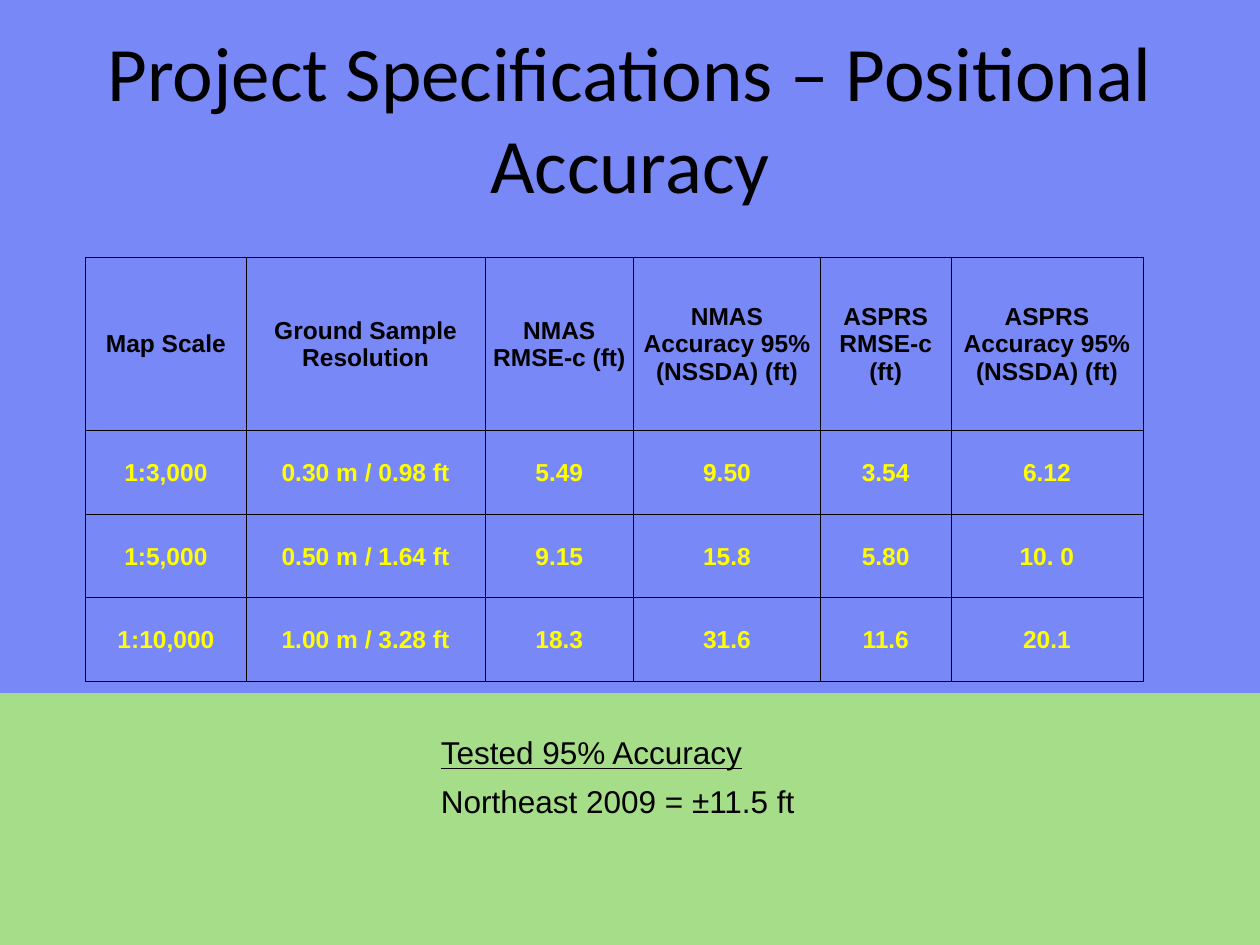
from lxml.etree import SubElement
from pptx import Presentation
from pptx.dml.color import RGBColor
from pptx.enum.shapes import MSO_SHAPE as Preset
from pptx.enum.text import MSO_ANCHOR as Anchor, MSO_AUTO_SIZE as AutoSize, PP_ALIGN as Align
from pptx.oxml import parse_xml
from pptx.oxml.ns import nsdecls, qn
from pptx.util import Cm, Pt

BLACK = RGBColor(0x00, 0x00, 0x00)
YELLOW = RGBColor(0xFF, 0xFF, 0x00)
BLUE = RGBColor(0x79, 0x88, 0xF7)
GREEN = RGBColor(0xA5, 0xDD, 0x89)

COLUMN_WIDTHS = [3.23, 4.82, 2.99, 3.77, 2.63, 3.87]
ROW_HEIGHTS = [3.49, 1.69, 1.69, 1.69]
ACCURACY_ROWS = [
    ["Map Scale", "Ground Sample Resolution", "NMAS RMSE-c (ft)",
     "NMAS Accuracy 95% (NSSDA) (ft)", "ASPRS RMSE-c (ft)",
     "ASPRS Accuracy 95% (NSSDA) (ft)"],
    ["1:3,000", "0.30 m / 0.98 ft", "5.49", "9.50", "3.54", "6.12"],
    ["1:5,000", "0.50 m / 1.64 ft", "9.15", "15.8", "5.80", "10. 0"],
    ["1:10,000", "1.00 m / 3.28 ft", "18.3", "31.6", "11.6", "20.1"],
]


class SlideBuilder:
    body_font = "Arial"
    title_font = "Calibri"

    def __init__(self, page):
        self.page = page

    def span(self, para, text, size, color=BLACK, font=body_font, bold=False, underline=False):
        span = para.add_run()
        span.text = text
        span.font.name = font
        span.font.size = Pt(size)
        span.font.bold = bold
        span.font.underline = underline
        span.font.color.rgb = color

    def band(self, top, height, color):
        band = self.page.shapes.add_shape(Preset.RECTANGLE, 0, Cm(top), Cm(25.4), Cm(height))
        band.shadow.inherit = False
        band.fill.solid()
        band.fill.fore_color.rgb = color
        band.line.fill.background()

    def title(self, text, left, top, width, height):
        title = self.page.shapes.title
        title.element.getparent().append(title.element)
        title.left, title.top = Cm(left), Cm(top)
        title.width, title.height = Cm(width), Cm(height)
        frame = title.text_frame
        frame.vertical_anchor = Anchor.MIDDLE
        frame.auto_size = AutoSize.NONE
        para = frame.paragraphs[0]
        para.alignment = Align.CENTER
        self.span(para, text, 44, font=self.title_font)

    def borders(self, cell):
        properties = cell._tc.get_or_add_tcPr()
        for index, side in enumerate(("lnL", "lnR", "lnT", "lnB")):
            line = parse_xml(f'<a:{side} {nsdecls("a")} w="{Pt(0.5)}"/>')
            fill = SubElement(line, qn("a:solidFill"))
            SubElement(fill, qn("a:srgbClr"), val=str(BLACK))
            properties.insert(index, line)

    def cell(self, cell, text, color):
        cell.fill.background()
        self.borders(cell)
        cell.vertical_anchor = Anchor.MIDDLE
        cell.margin_left = cell.margin_right = cell.margin_top = Cm(0.03)
        cell.margin_bottom = 0
        para = cell.text_frame.paragraphs[0]
        para.alignment = Align.CENTER
        self.span(para, text, 14, color, bold=True)

    def table(self, rows, left, top, widths, heights):
        table = self.page.shapes.add_table(
            len(heights), len(widths), Cm(left), Cm(top), Cm(sum(widths)), Cm(sum(heights))
        ).table
        table.first_row = table.horz_banding = False
        for column, width in zip(table.columns, widths):
            column.width = Cm(width)
        for number, (row, height, texts) in enumerate(zip(table.rows, heights, rows)):
            row.height = Cm(height)
            for cell, text in zip(row.cells, texts):
                self.cell(cell, text, YELLOW if number else BLACK)

    def note(self, heading, detail, left, top, width, height):
        box = self.page.shapes.add_textbox(Cm(left), Cm(top), Cm(width), Cm(height))
        frame = box.text_frame
        frame.word_wrap = False
        frame.auto_size = AutoSize.SHAPE_TO_FIT_TEXT
        for para, text in ((frame.paragraphs[0], heading), (frame.add_paragraph(), detail)):
            para.space_after = Pt(6)
            self.span(para, text, 18, underline=text == heading)


def main():
    deck = Presentation()
    deck.slide_width, deck.slide_height = Cm(25.4), Cm(19.05)
    builder = SlideBuilder(deck.slides.add_slide(deck.slide_layouts[5]))
    builder.band(9.32, 9.73, GREEN)
    builder.band(0, 13.97, BLUE)
    builder.title("Project Specifications – Positional Accuracy", 1.27, 0.76, 22.86, 3.18)
    builder.table(ACCURACY_ROWS, 1.73, 5.18, COLUMN_WIDTHS, ROW_HEIGHTS)
    builder.note("Tested 95% Accuracy", "Northeast 2009 = ±11.5 ft", 8.64, 14.66, 7.72, 2.01)
    deck.save("out.pptx")


if __name__ == "__main__":
    main()
